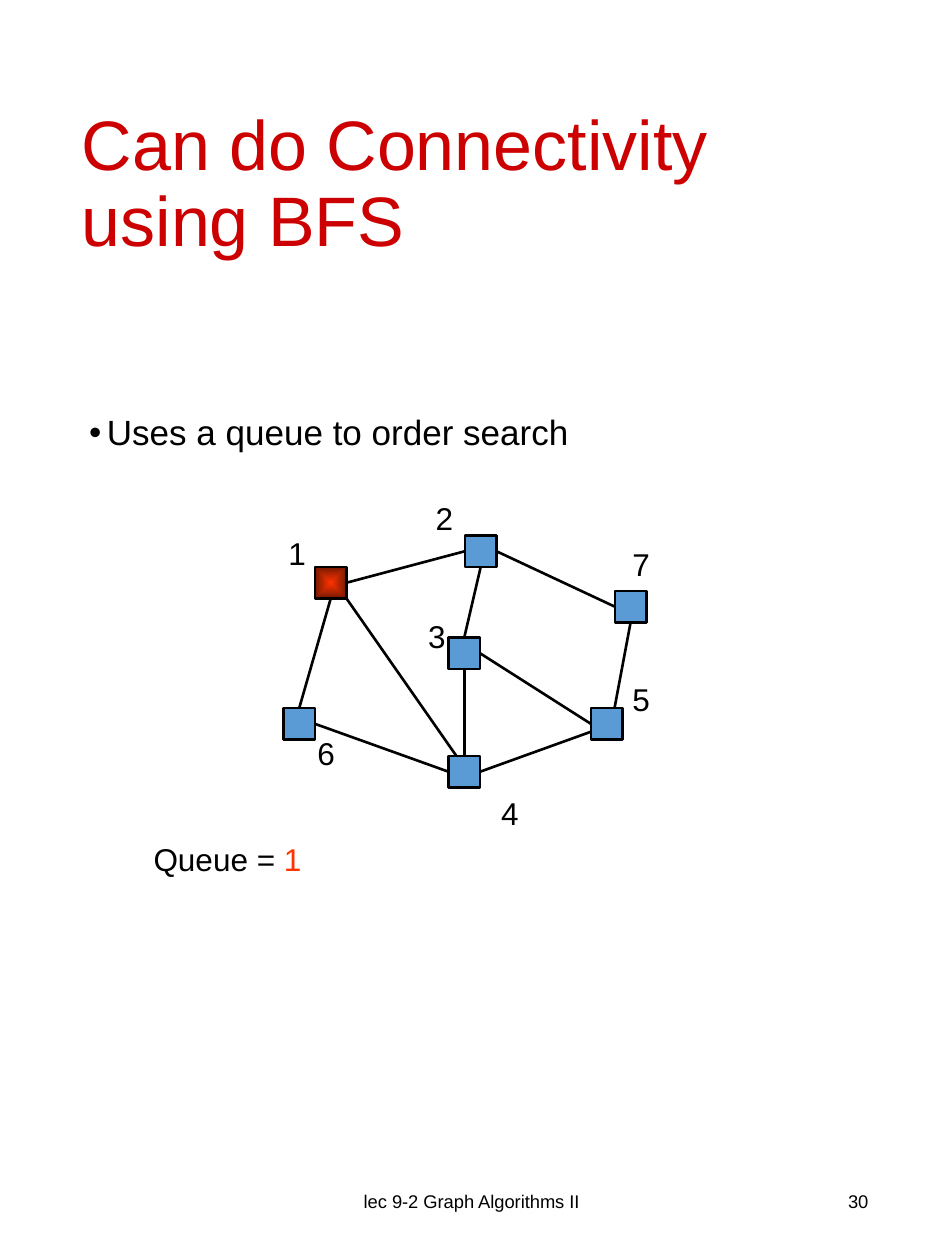
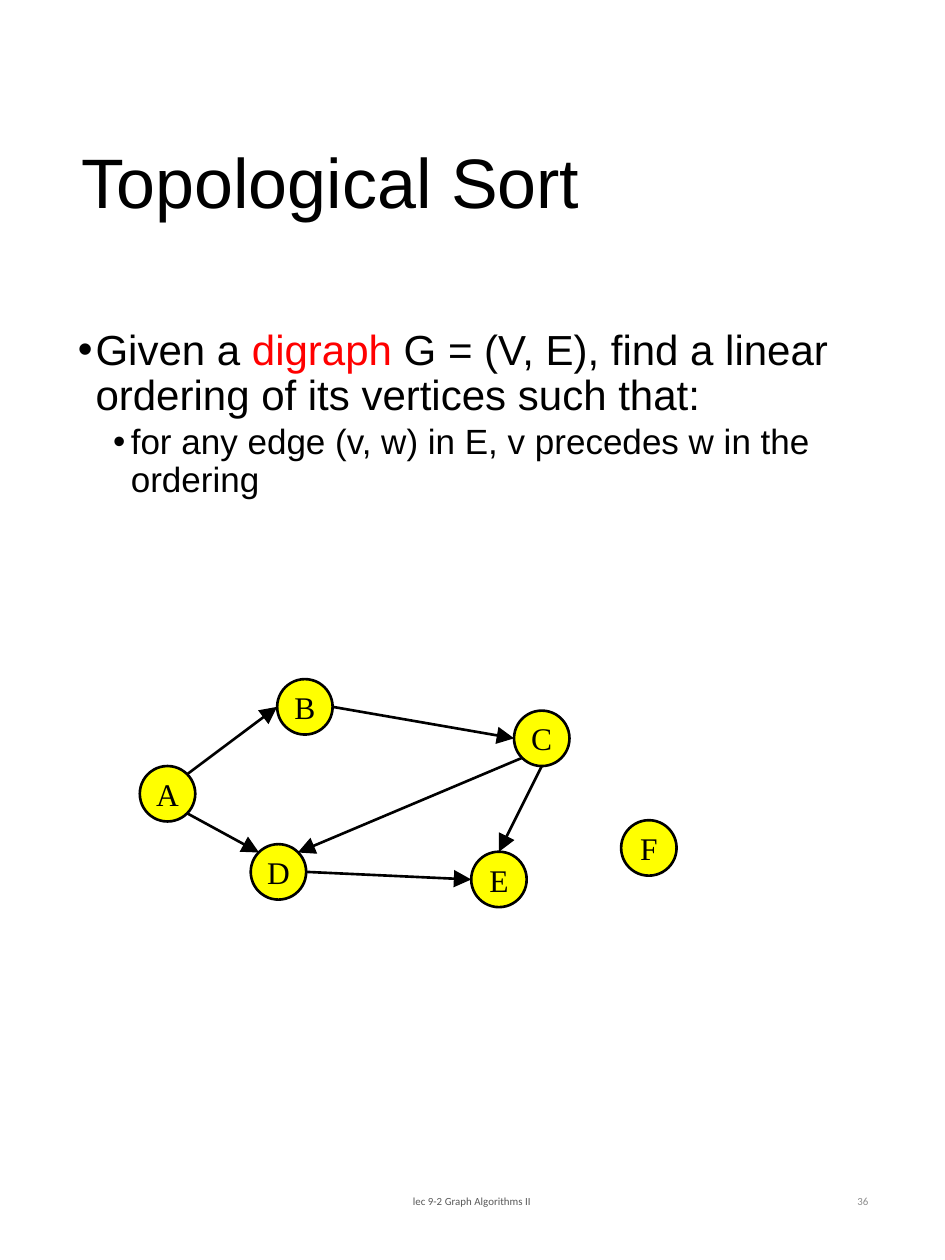
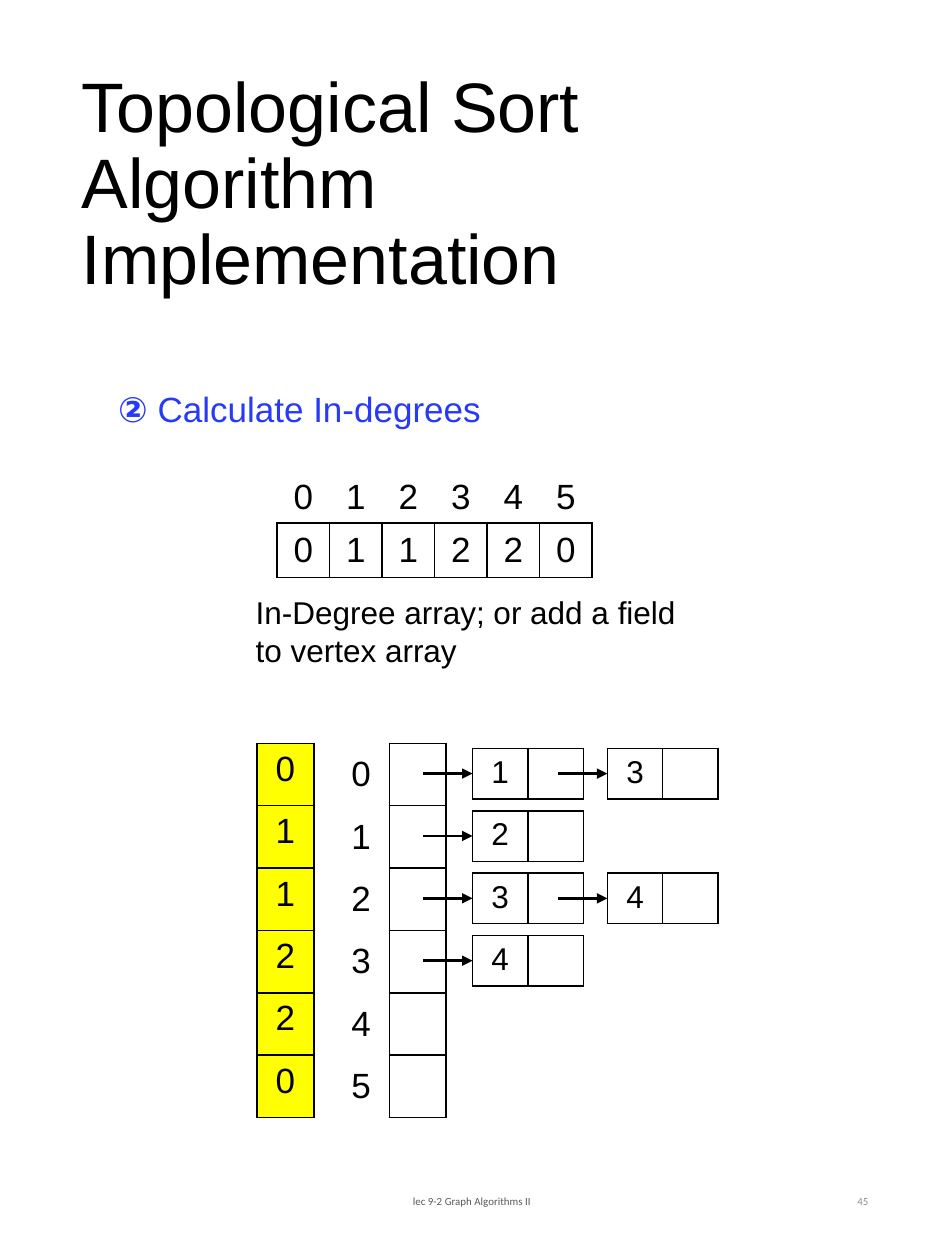
from lxml import etree
from pptx import Presentation
from pptx import util as u
from pptx.dml import color
from pptx.enum import shapes, text
from pptx.oxml import ns

BLACK, RED, YELLOW, BLUE = "000000", "FF0000", "FFFF00", "5B9BD5"
AL = text.PP_ALIGN
MID = text.MSO_ANCHOR.MIDDLE
BASE = {"name": "Arial", "size": 18, "color": BLACK}
TITLE = {**BASE, "size": 40}
LARGE = {**BASE, "size": 20}
SIDES = {"l": (0, 0.5), "r": (1, 0.5), "t": (0.5, 0), "b": (0.5, 1),
         "br": (1, 1), "t1": (0.25, 0), "t3": (0.75, 0), "l3": (0, 0.75),
         "ne": (0.85, 0.15), "nw": (0.15, 0.15), "se": (0.85, 0.85), "sw": (0.15, 0.85)}


def rgb(value):
    """Turn a hex string into a colour."""
    return color.RGBColor.from_string(value)


def sub(parent, tag, **attrs):
    """Append a drawing element to a parent."""
    return etree.SubElement(parent, ns.qn("a:" + tag), attrs)


def style(font, fmt):
    """Apply a dict of format values to a font."""
    for key, value in fmt.items():
        if key == "color":
            font.color.rgb = rgb(value)
        else:
            setattr(font, key, u.Pt(value) if key == "size" else value)


def write(p, runs, fmt, **para):
    """Fill a paragraph with strings or (string, changes) pairs."""
    for key, value in para.items():
        setattr(p, key, value)
    for run in [runs] if isinstance(runs, str) else runs:
        words, changes = (run, {}) if isinstance(run, str) else run
        r = p.add_run()
        r.text = words
        style(r.font, {**fmt, **changes})


def label(s, box, runs, fmt=BASE, anchor=text.MSO_ANCHOR.TOP, wrap=True, **para):
    """Add a text box and return its text frame."""
    tf = s.shapes.add_textbox(*map(u.Inches, box)).text_frame
    tf.word_wrap = wrap
    tf.vertical_anchor = anchor
    if not wrap:
        tf.auto_size = text.MSO_AUTO_SIZE.SHAPE_TO_FIT_TEXT
    if runs:
        write(tf.paragraphs[0], runs, fmt, **para)
    return tf


def bullets(s, box, items):
    """Add a bulleted list of (level, size, runs) items."""
    tf = label(s, box, None)
    for i, (level, size, runs) in enumerate(items):
        p = tf.add_paragraph() if i else tf.paragraphs[0]
        pPr = p._p.get_or_add_pPr()
        pPr.set("marL", str(u.Inches(0.14 + 0.28 * level)))
        pPr.set("indent", str(u.Inches(-0.14)))
        sub(pPr, "buFont", typeface="Arial")
        sub(pPr, "buChar", char="•")
        write(p, runs, {**BASE, "size": size}, level=level, line_spacing=0.9,
              space_before=u.Pt(2.8 if i else 0))


def line(s, start, end, head=None):
    """Draw a straight line, with an arrowhead of the given size if any."""
    points = map(u.Inches, (*start, *end))
    c = s.shapes.add_connector(shapes.MSO_CONNECTOR.STRAIGHT, *points)
    c.line.color.rgb = rgb(BLACK)
    c.line.width = u.Pt(1.5)
    if head:
        sub(c.line._get_or_add_ln(), "tailEnd", type="triangle", w=head, len=head)
    sub(c._element.spPr, "effectLst")


def node(s, kind, x, y, size, fill, name=""):
    """Draw one vertex of a graph."""
    sp = s.shapes.add_shape(kind, *map(u.Inches, (x, y, size, size)))
    sp.shadow.inherit = False
    sp.fill.solid()
    sp.fill.fore_color.rgb = rgb(fill)
    sp.line.color.rgb = rgb(BLACK)
    sp.line.width = u.Pt(1.5)
    if name:
        tf = sp.text_frame
        tf.word_wrap = False
        tf.vertical_anchor = MID
        write(tf.paragraphs[0], name, {**BASE, "name": "Times New Roman"}, alignment=AL.CENTER)
    return sp


def edges(s, origin, nodes, size, links, head=None):
    """Join the sides of vertices, each link being 'from side to side'."""
    for link in links:
        a, side_a, b, side_b = link.split()
        ends = [[origin[i] + nodes[n][i] + size * SIDES[side][i] for i in (0, 1)]
                for n, side in ((a, side_a), (b, side_b))]
        line(s, *ends, head)


def glow(sp, inner, outer):
    """Give a shape a gradient that spreads from its centre."""
    sp.fill.gradient()
    for stop, value in zip(sp.fill.gradient_stops, (inner, outer)):
        stop.color.rgb = rgb(value)
    lin = sp._element.spPr.find(".//" + ns.qn("a:lin"))
    spread = etree.Element(ns.qn("a:path"), {"path": "rect"})
    sub(spread, "fillToRect", **dict.fromkeys("ltrb", "50000"))
    lin.getparent().replace(lin, spread)


def grid(s, box, rows, fmt=LARGE, fill=None, border=True, anchor=MID):
    """Add a plain table of equal cells."""
    t = s.shapes.add_table(len(rows), len(rows[0]), *map(u.Inches, box)).table
    t.first_row = t.horz_banding = False
    for col in t.columns:
        col.width = u.Inches(box[2] / len(rows[0]))
    for cell, value in zip(t.iter_cells(), [v for row in rows for v in row]):
        tcPr = cell._tc.get_or_add_tcPr()
        for edge in ("lnL", "lnR", "lnT", "lnB"):
            ln = sub(tcPr, edge, w=str(u.Pt(1)))
            paint = sub(ln, "solidFill" if border else "noFill")
            if border:
                sub(paint, "srgbClr", val=BLACK)
        if fill:
            cell.fill.solid()
            cell.fill.fore_color.rgb = rgb(fill)
        else:
            cell.fill.background()
        cell.vertical_anchor = anchor
        if value != "":
            write(cell.text_frame.paragraphs[0], str(value), fmt, alignment=AL.CENTER)


def frame(prs, title, number, title_color=BLACK, small=True):
    """Start a slide with its title, footer and number."""
    s = prs.slides.add_slide(prs.slide_layouts[6])
    label(s, (0.55, 0.51, 6.47, 1.93), title, {**TITLE, "color": title_color}, MID,
          line_spacing=0.9)
    for x, w, words, align, grey in ((2.48, 2.53, "lec 9-2 Graph Algorithms II", AL.CENTER, "595959"),
                                     (5.3, 1.69, str(number), AL.RIGHT, "8C8C8C")):
        fmt = {"name": "Calibri", "size": 6.2, "color": grey} if small else {**BASE, "size": 10.5}
        label(s, (x, 9.27, w, 0.53), words, fmt, MID, alignment=align)
    return s


def search_graph(s, x, y):
    """Draw the undirected graph with its numbers and queue."""
    size = 0.25
    nodes = {"1": (0.25, 0.25), "2": (1.44, 0), "3": (1.31, 0.81), "4": (1.31, 1.75),
             "5": (2.44, 1.37), "6": (0, 1.37), "7": (2.63, 0.44)}
    spots = {"1": (-0.06, -0.06), "2": (1.11, -0.34), "3": (1.05, 0.6), "4": (1.63, 2),
             "5": (2.67, 1.1), "6": (0.17, 1.53), "7": (2.67, 0.03)}
    for name, (dx, dy) in nodes.items():
        sp = node(s, shapes.MSO_SHAPE.RECTANGLE, x + dx, y + dy, size, BLUE)
        if name == "1":
            glow(sp, "FF3300", "761800")
    edges(s, (x, y), nodes, size,
          ("1 r 2 l", "2 b 3 t", "2 r 7 l", "3 r 5 l", "7 b 5 t3", "3 b 4 t",
           "4 r 5 l3", "6 r 4 l", "1 b 6 t", "1 br 4 t1"))
    for name, (dx, dy) in spots.items():
        label(s, (x + dx, y + dy, 0.34, 0.4), name, wrap=False)
    label(s, (x - 1.13, y + 2.37, 1.39, 0.4), ["Queue = ", ("1", {"color": "FF3300"})], wrap=False)


def digraph(s, x, y):
    """Draw the directed graph of lettered vertices."""
    size = 0.44
    nodes = {"A": (0, 0.69), "B": (1.09, 0), "C": (2.97, 0.25),
             "D": (0.88, 1.31), "E": (2.63, 1.37), "F": (3.82, 1.12)}
    for name, (dx, dy) in nodes.items():
        node(s, shapes.MSO_SHAPE.OVAL, x + dx, y + dy, size, YELLOW, name)
    edges(s, (x, y), nodes, size,
          ("C b E t", "D r E l", "A se D nw", "C sw D ne", "B r C l", "A ne B l"), "lg")


def degree_array(s, x, y, degrees):
    """Draw the in-degree array under its indices, with a caption."""
    grid(s, (x, y + 0.42, 2.5, 0.41), [degrees])
    grid(s, (x, y, 2.5, 0.41), [range(len(degrees))], border=False)
    label(s, (x - 0.27, y + 0.93, 3.75, 0.71), "In-Degree array; or add a field to vertex array")


def adjacency(s, x, y, degrees, lists):
    """Draw the vertex array and the linked list of each vertex."""
    pitch, step = 0.495, 1.07
    height = pitch * len(lists)
    grid(s, (x + 1.05, y, 0.45, height), [[""] for _ in lists])
    grid(s, (x + 0.6, y, 0.45, height), [[i] for i in range(len(lists))], border=False)
    grid(s, (x, y, 0.45, height), [[d] for d in degrees], fill=YELLOW,
         anchor=text.MSO_ANCHOR.TOP)
    for i, targets in enumerate(lists):
        top = y + 0.04 + i * pitch
        for k, target in enumerate(targets):
            left = x + 1.71 + k * step
            grid(s, (left, top, 0.88, 0.4), [[target, ""]], BASE, anchor=text.MSO_ANCHOR.TOP)
            line(s, (left - 0.39, top + 0.2), (left, top + 0.2), "med")


def main():
    """Build the three slides and save them."""
    prs = Presentation()
    prs.slide_width, prs.slide_height = u.Inches(7.5), u.Inches(10)

    s = frame(prs, "Can do Connectivity using BFS", 30, "CC0000", small=False)
    bullets(s, (0.61, 3.25, 6.38, 4.69), [(0, 20, "Uses a queue to order search")])
    search_graph(s, 2.25, 4.25)

    s = frame(prs, "Topological Sort", 36)
    bullets(s, (0.52, 2.56, 6.47, 6.34), [
        (0, 24, ["Given a ", ("digraph", {"color": RED}),
                 " G = (V, E), find a linear ordering of its vertices such that:"]),
        (1, 20, "for any edge (v, w) in E, v precedes w in the ordering")])
    digraph(s, 1.11, 5.39)

    s = frame(prs, "Topological Sort Algorithm Implementation", 45)
    label(s, (0.84, 3.03, 3.67, 0.44), [("②", {"bold": True}), " Calculate In-degrees"],
          {**LARGE, "color": "263AF8"})
    degrees = [0, 1, 1, 2, 2, 0]
    degree_array(s, 2.2, 3.73, degrees)
    adjacency(s, 2.04, 5.9, degrees, [[1, 3], [2], [3, 4], [4], [], []])

    prs.save("out.pptx")


if __name__ == "__main__":
    main()
